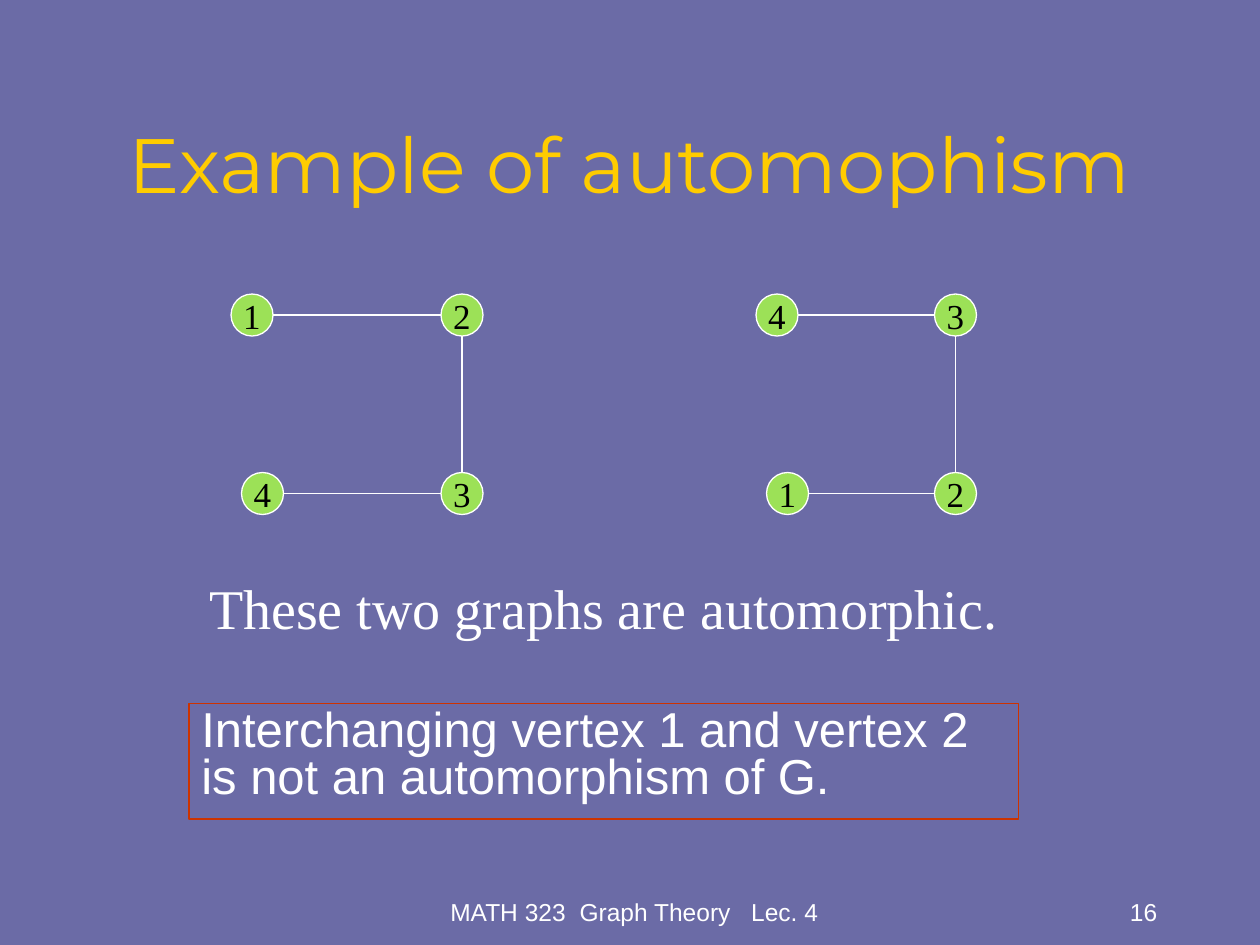
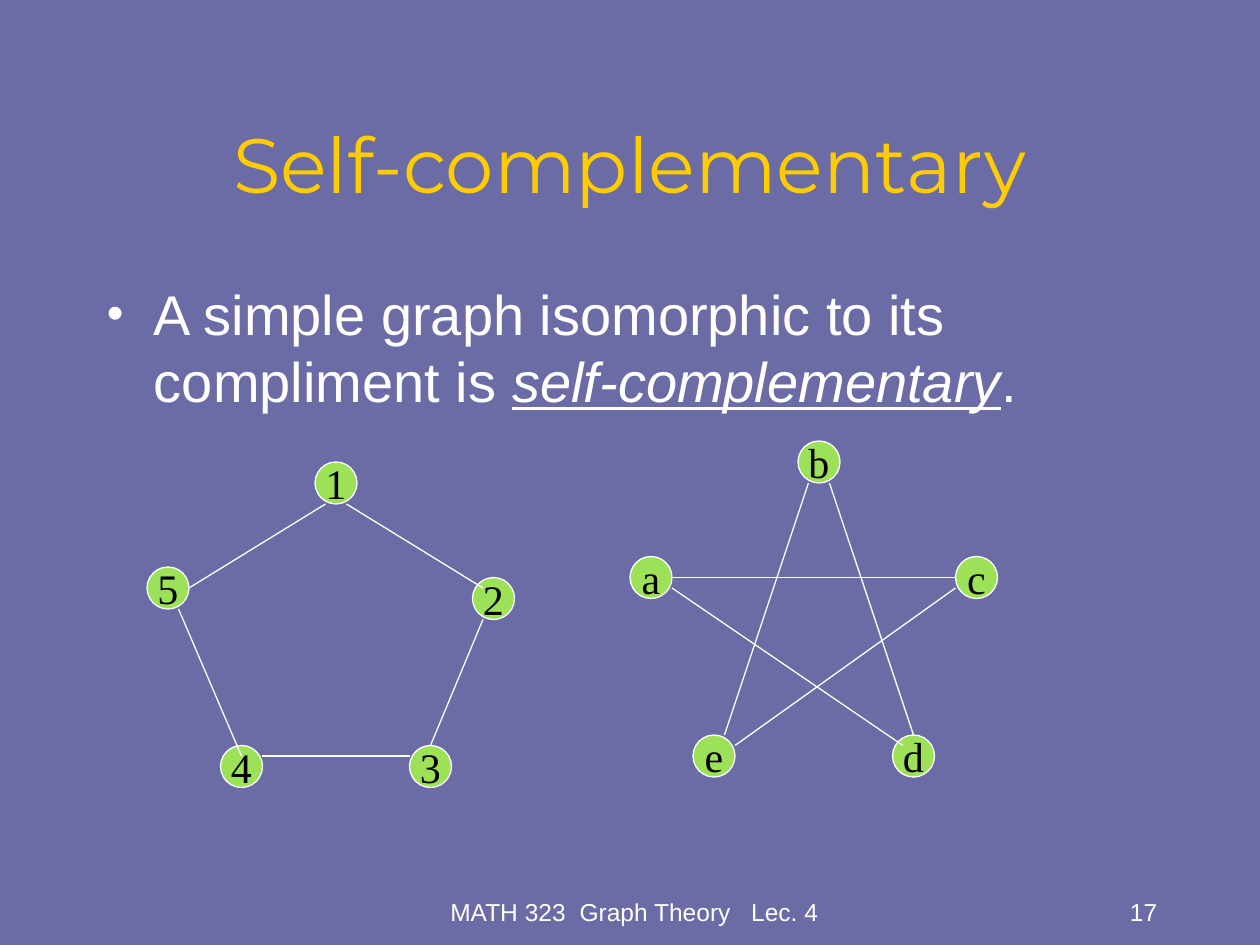
from dataclasses import dataclass

from lxml.etree import SubElement
from pptx import Presentation
from pptx.dml.color import RGBColor
from pptx.enum.shapes import MSO_CONNECTOR, MSO_SHAPE
from pptx.enum.text import MSO_ANCHOR, PP_ALIGN
from pptx.oxml.ns import qn
from pptx.slide import Slide
from pptx.text.text import TextFrame
from pptx.util import Cm, Length, Pt

# Shared look
BACKGROUND, GOLD, WHITE, BLACK = "6B6BA6", "FFCC00", "FFFFFF", "000000"
VERTEX_GREEN, FRAME_RED = "9CE157", "CC3300"
TITLE_FONT, BODY_FONT, SERIF_FONT = "Montserrat", "Arial", "Times New Roman"
LINE_WIDTH = Pt(0.75)

# Everything sits on a grid of twelfths of an inch
SLIDE_WIDTH, SLIDE_HEIGHT = 120, 90
VERTEX_SIZE = 4

# Points of a vertex where edges meet, counted from its top left corner
LEFT, RIGHT, TOP, BOTTOM = (0, 2), (4, 2), (2, 0), (2, 4)
LOWER_LEFT, LOWER_RIGHT = (1, 4), (3, 4)


@dataclass(frozen=True)
class Style:
    size: float
    font: str = BODY_FONT
    colour: str = WHITE
    align: PP_ALIGN = PP_ALIGN.LEFT
    anchor: MSO_ANCHOR = MSO_ANCHOR.TOP


@dataclass(frozen=True)
class Run:
    text: str
    emphasis: bool = False
    spacing: int = 0  # extra width per letter, hundredths of a point


@dataclass(frozen=True)
class Box:
    left: float
    top: float
    width: float
    height: float


@dataclass(frozen=True)
class Edge:
    start: str
    end: str
    start_point: tuple[int, int]
    end_point: tuple[int, int]


@dataclass(frozen=True)
class Graph:
    vertices: dict[str, tuple[int, int]]
    edges: list[Edge]
    label_size: int


TITLE = Style(44, TITLE_FONT, GOLD, PP_ALIGN.CENTER, MSO_ANCHOR.MIDDLE)
FOOTER = Style(14, align=PP_ALIGN.CENTER, anchor=MSO_ANCHOR.BOTTOM)
PAGE_NUMBER = Style(14, align=PP_ALIGN.RIGHT, anchor=MSO_ANCHOR.BOTTOM)
STATEMENT = Style(32, SERIF_FONT, align=PP_ALIGN.CENTER)
REMARK = Style(28)
DEFINITION = Style(32)

COURSE = [Run("MATH 323"), Run(" ", spacing=390), Run("Graph Theory"),
          Run(" ", spacing=780), Run("Lec. 4")]

# Graphs
LABELLED_PATH = Graph(
    {"1": (22, 28), "4": (23, 45), "3": (42, 45), "2": (42, 28)},
    [Edge("1", "2", RIGHT, LEFT), Edge("2", "3", BOTTOM, TOP),
     Edge("3", "4", LEFT, RIGHT)], 20)
RELABELLED_PATH = Graph(
    {"1": (73, 45), "2": (89, 45), "4": (72, 28), "3": (89, 28)},
    [Edge("4", "3", RIGHT, LEFT), Edge("3", "2", BOTTOM, TOP),
     Edge("1", "2", RIGHT, LEFT)], 20)
PENTAGON = Graph(
    {"1": (30, 44), "5": (14, 54), "2": (45, 55), "4": (21, 71), "3": (39, 71)},
    [Edge("5", "1", RIGHT, LOWER_LEFT), Edge("1", "2", LOWER_RIGHT, (1, 1)),
     Edge("2", "3", LOWER_LEFT, TOP), Edge("4", "3", (4, 1), (0, 1)),
     Edge("5", "4", LOWER_RIGHT, (2, 1))], 24)
STAR = Graph(
    {"e": (66, 70), "d": (85, 70), "a": (60, 53), "c": (91, 53), "b": (76, 42)},
    [Edge("b", "e", LOWER_LEFT, (3, 0)), Edge("b", "d", LOWER_RIGHT, TOP),
     Edge("a", "c", RIGHT, LEFT), Edge("a", "d", (4, 3), (1, 1)),
     Edge("c", "e", (0, 3), (4, 1))], 24)


def grid(steps: float) -> Length:
    return Cm(2.54 * steps / 12)


def place(box: Box) -> list[Length]:
    return [grid(side) for side in (box.left, box.top, box.width, box.height)]


def rgb(colour: str) -> RGBColor:
    return RGBColor.from_string(colour)


def write(frame: TextFrame, runs: list[Run], style: Style, wrap: bool = True) -> None:
    frame.word_wrap = wrap
    frame.vertical_anchor = style.anchor
    paragraph = frame.paragraphs[0]
    paragraph.alignment = style.align
    for part in runs:
        run = paragraph.add_run()
        run.text = part.text
        font = run.font
        font.size, font.name = Pt(style.size), style.font
        font.color.rgb = rgb(style.colour)
        if part.emphasis:
            font.italic = font.underline = True
        if part.spacing:
            run.font._element.set("spc", str(part.spacing))


def add_text(slide: Slide, box: Box, runs: list[Run], style: Style) -> TextFrame:
    frame = slide.shapes.add_textbox(*place(box)).text_frame
    write(frame, runs, style)
    return frame


def add_bullet(frame: TextFrame) -> None:
    properties = frame.paragraphs[0]._p.get_or_add_pPr()
    properties.set("marL", str(Cm(0.95)))
    properties.set("indent", str(-Cm(0.95)))
    colour = SubElement(properties, qn("a:buClr"))
    SubElement(colour, qn("a:srgbClr"), val=WHITE)
    SubElement(properties, qn("a:buSzPct"), val="85000")
    SubElement(properties, qn("a:buFont"), typeface=BODY_FONT)
    SubElement(properties, qn("a:buChar"), char="•")


def add_remark(slide: Slide, box: Box, text: str) -> None:
    remark = slide.shapes.add_shape(MSO_SHAPE.RECTANGLE, *place(box))
    remark.shadow.inherit = False
    remark.fill.background()
    remark.line.color.rgb = rgb(FRAME_RED)
    remark.line.width = LINE_WIDTH
    write(remark.text_frame, [Run(text)], REMARK)
    remark.text_frame.paragraphs[0].line_spacing = 0.8


def add_graph(slide: Slide, graph: Graph) -> None:
    label_style = Style(graph.label_size, SERIF_FONT, BLACK,
                        PP_ALIGN.CENTER, MSO_ANCHOR.MIDDLE)
    for label, (left, top) in graph.vertices.items():
        vertex = slide.shapes.add_shape(
            MSO_SHAPE.OVAL, *place(Box(left, top, VERTEX_SIZE, VERTEX_SIZE)))
        vertex.shadow.inherit = False
        vertex.fill.solid()
        vertex.fill.fore_color.rgb = rgb(VERTEX_GREEN)
        vertex.line.color.rgb = rgb(WHITE)
        vertex.line.width = LINE_WIDTH
        write(vertex.text_frame, [Run(label)], label_style, wrap=False)
    for edge in graph.edges:
        ends = [grid(corner + offset)
                for name, point in ((edge.start, edge.start_point),
                                    (edge.end, edge.end_point))
                for corner, offset in zip(graph.vertices[name], point)]
        line = slide.shapes.add_connector(MSO_CONNECTOR.STRAIGHT, *ends)
        line.line.color.rgb = rgb(WHITE)
        line.line.width = LINE_WIDTH
        SubElement(line._element.spPr, qn("a:effectLst"))


def add_page(deck: Presentation, title: str, title_width: float, number: int) -> Slide:
    slide = deck.slides.add_slide(deck.slide_layouts[6])
    slide.background.fill.solid()
    slide.background.fill.fore_color.rgb = rgb(BACKGROUND)
    title_left = (SLIDE_WIDTH - title_width) / 2
    add_text(slide, Box(title_left, 10.5, title_width, 10), [Run(title)], TITLE)
    add_text(slide, Box(41.4, 82.8, 38, 6), COURSE, FOOTER)
    add_text(slide, Box(86.4, 82.8, 25, 6), [Run(str(number))], PAGE_NUMBER)
    return slide


def main() -> None:
    deck = Presentation()
    deck.slide_width, deck.slide_height = grid(SLIDE_WIDTH), grid(SLIDE_HEIGHT)

    # Automorphism example
    example = add_page(deck, "Example of automophism", 110, 16)
    add_remark(example, Box(18, 67, 79, 11),
               "Interchanging vertex 1 and vertex 2 is not an automorphism of G.")
    add_graph(example, LABELLED_PATH)
    add_graph(example, RELABELLED_PATH)
    add_text(example, Box(15, 54, 85, 7.7),
             [Run("These two graphs are automorphic.")], STATEMENT)

    # Self-complementary graphs
    complement = add_page(deck, "Self-complementary", 102, 17)
    definition = add_text(
        complement, Box(9, 26, 102, 54),
        [Run("A simple graph isomorphic to its compliment is "),
         Run("self-complementary", emphasis=True), Run(".")], DEFINITION)
    add_bullet(definition)
    add_graph(complement, PENTAGON)
    add_graph(complement, STAR)

    deck.save("out.pptx")


if __name__ == "__main__":
    main()
